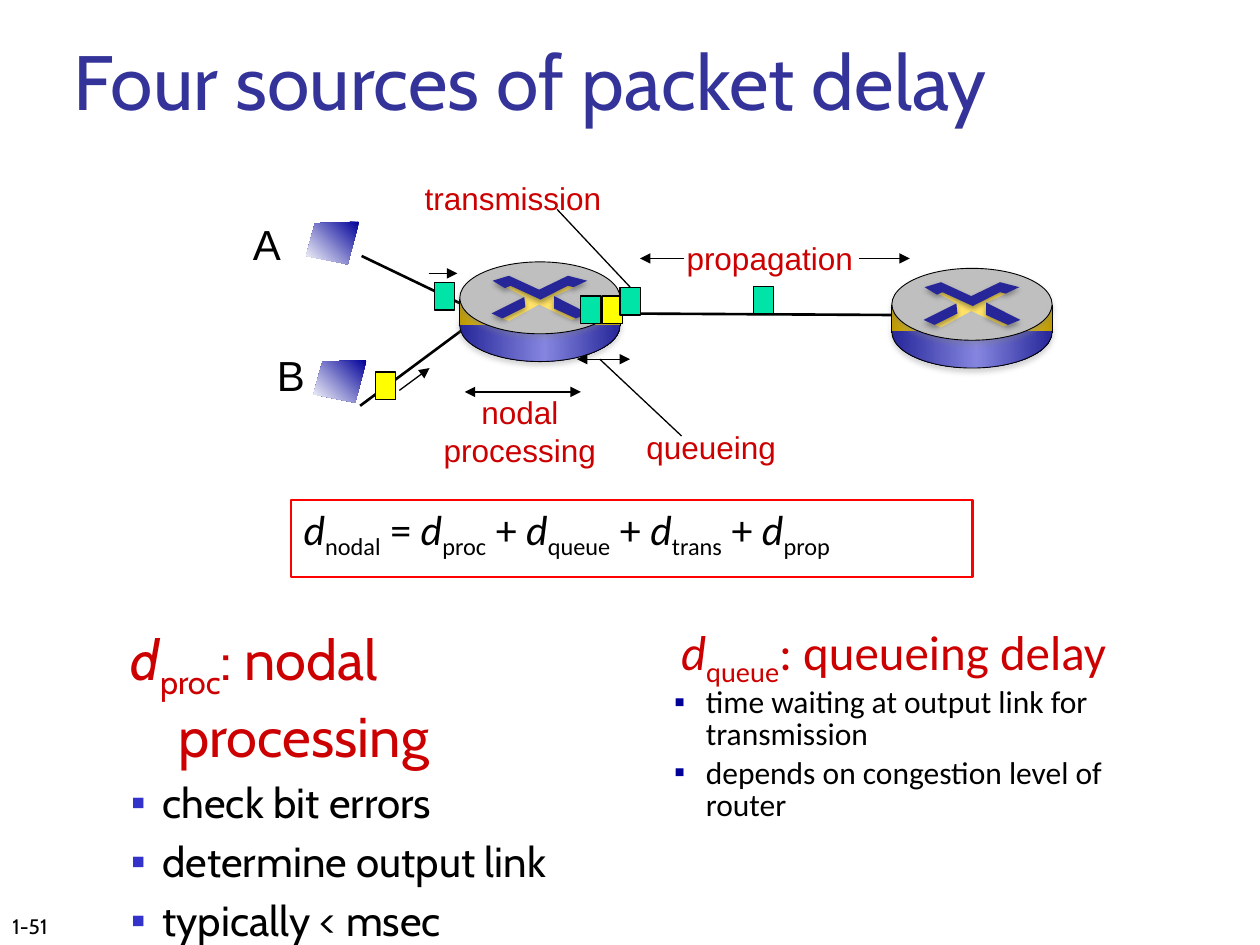
from dataclasses import dataclass

from lxml.etree import SubElement as Sub
from pptx import Presentation
from pptx.dml.color import RGBColor as Rgb
from pptx.enum.shapes import MSO_CONNECTOR as Conn, MSO_SHAPE as Kind
from pptx.enum.text import MSO_ANCHOR as Anchor, MSO_AUTO_SIZE as Fit, PP_ALIGN as Align
from pptx.oxml.ns import qn
from pptx.util import Cm, Pt


@dataclass(frozen=True)
class Theme:
    title: str = "333399"
    red: str = "CC0000"
    frame: str = "FF0000"
    ink: str = "000000"
    green: str = "00E4A8"
    yellow: str = "FFFF00"
    steel: str = "BFBFBF"
    gold: str = "FFE267"
    navy: str = "262699"
    shade: str = "808080"
    dot_left: str = "3333CC"
    dot_right: str = "000099"
    main: str = "Cabin"
    math: str = "Calibri"
    label: str = "Arial"
    huge: int = 44
    head: int = 32
    sub: int = 28
    body: int = 24
    small: int = 18
    foot: int = 12


T = Theme()
BLUE = [(0, T.navy), (53, "8585E0"), (100, T.navy)]
BRASS = [(0, "C09C00"), (53, T.gold), (100, "C09C00")]
SCREEN = [(0, "000099"), (100, "FFFFFF")]


def delay(name):
    return [("d", "i"), (name, "sub")]


TITLE = "Four sources of packet delay"
PAGE = "1-51"
LEFT = (delay("proc") + [(": nodal processing", "")],
        ["check bit errors", "determine output link", "typically < msec"])
RIGHT = (delay("queue") + [(": queueing delay", "")],
         ["time waiting at output link for transmission",
          "depends on congestion level of router"])
SUM = delay("nodal") + [(" = ", "")] + delay("proc")
for part in ("queue", "trans", "prop"):
    SUM += [(" + ", "")] + delay(part)

# Lengths are in centimetres.
LABELS = [
    (["propagation"], (13.59, 4.7, 3.86, 1.02)),
    (["nodal", "processing"], (8.69, 7.8, 3.58, 1.78)),
    (["queueing"], (12.78, 8.51, 3.12, 1.02)),
    (["transmission"], (8.31, 3.48, 4.1, 1.02)),
]
HOSTS = [("A", (4.85, 4.29, 1.12, 1.27), (6.17, 4.47)),
         ("B", (5.33, 6.93, 1.07, 1.27), (6.32, 7.26))]
HOST = [(1.07, 0), (0.18, 0.03), (0, 0.69), (0.84, 0.86)]
ROUTERS = [(9.27, 5.28), (17.98, 5.41)]
LINKS = [(7.29, 5.16, 9.35, 6.15), (12.62, 6.32, 18.01, 6.35),
         (7.26, 8.18, 9.32, 6.65)]
PACKETS = [(15.19, 5.77, T.green), (11.71, 5.97, T.green),
           (12.14, 5.97, T.yellow), (8.76, 5.69, T.green),
           (7.57, 7.5, T.yellow), (12.5, 5.79, T.green)]
ARROWS = [(17.32, 5.21, 18.34, 5.21), (13.79, 5.21, 12.9, 5.21),
          (8.64, 5.51, 9.22, 5.51), (8.05, 7.87, 8.66, 7.42)]
SPANS = [(11.71, 7.9, 9.37, 7.9), (12.7, 7.24, 11.63, 7.24)]
QUEUE = (13.74, 8.79, 12.09, 7.24)
SEND = (11.23, 4.22, 12.7, 5.79)

CROSS = [(1.6, 0.86), (0.99, 1.19), (0.81, 1.12), (1.32, 0.91), (1.3, 0.71),
         (0.94, 0.51), (1.07, 0.48), (1.6, 0.74), (2.16, 0.46), (2.31, 0.51),
         (1.9, 0.69), (1.98, 0.97), (2.39, 1.12), (2.26, 1.17)]
BLADES = [
    [(0.66, 0.38), (0.99, 0.28), (1.6, 0.56), (2.18, 0.28), (2.57, 0.38),
     (2.29, 0.51), (2.18, 0.48), (1.63, 0.76), (1.02, 0.48), (0.91, 0.53)],
    [(1.9, 0.69), (2.59, 1.04), (2.34, 1.14), (1.9, 0.94)],
    [(1.3, 0.71), (1.32, 0.91), (0.86, 1.14), (0.64, 1.04)],
]

deck = Presentation()
deck.slide_width, deck.slide_height = Cm(25.4), Cm(19.05)
shapes = deck.slides.add_slide(deck.slide_layouts[6]).shapes


def shadow(item, color, alpha=35):
    """Add a soft shadow straight below, with alpha in percent."""
    drop = Sub(item._element.spPr.find(qn("a:effectLst")), qn("a:outerShdw"),
               blurRad=str(Pt(3.1)), dist=str(Pt(1.8)), dir="5400000", rotWithShape="0")
    Sub(Sub(drop, qn("a:srgbClr"), val=color), qn("a:alpha"), val=str(alpha * 1000))


def paint(item, fill=None, line=None, width=0.75, angle=0):
    """Fill with a colour or a list of gradient stops; None means no paint."""
    item.shadow.inherit = False
    if isinstance(fill, list):
        item.fill.gradient()
        item.fill.gradient_angle = angle
        stops = item._element.spPr.find(".//" + qn("a:gsLst"))
        for old in list(stops):
            stops.remove(old)
        for pos, color in fill:
            Sub(Sub(stops, qn("a:gs"), pos=str(pos * 1000)), qn("a:srgbClr"), val=color)
    elif fill:
        item.fill.solid()
        item.fill.fore_color.rgb = Rgb.from_string(fill)
    else:
        item.fill.background()
    if line:
        item.line.color.rgb = Rgb.from_string(line)
        item.line.width = Pt(width)
    else:
        item.line.fill.background()
    return item


def form(kind, box, **look):
    return paint(shapes.add_shape(kind, *map(Cm, box)), **look)


def outline(points, x, y, **look):
    spots = [(Cm(x + dx), Cm(y + dy)) for dx, dy in points]
    pen = shapes.build_freeform(*spots[0])
    pen.add_line_segments(spots[1:], close=True)
    return paint(pen.convert_to_shape(), **look)


def wire(ends, width=0.75, tips=()):
    item = shapes.add_connector(Conn.STRAIGHT, *map(Cm, ends))
    item.line.color.rgb = Rgb.from_string(T.ink)
    item.line.width = Pt(width)
    for tip in tips:
        Sub(item.line._get_or_add_ln(), qn("a:" + tip), type="triangle")
    Sub(item._element.spPr, qn("a:effectLst"))
    return item


def frame(box, wrap=True, anchor=Anchor.TOP):
    """Add a text box; one that does not wrap grows with its text."""
    text = shapes.add_textbox(*map(Cm, box)).text_frame
    text.word_wrap, text.vertical_anchor = wrap, anchor
    text.auto_size = Fit.NONE if wrap else Fit.SHAPE_TO_FIT_TEXT
    return text


def write(text, runs, size, font, color=T.ink, align=Align.LEFT,
          space=None, before=0, inset=0, hang=0, dot=None):
    """Add one paragraph; runs is a string or (text, style) pairs."""
    first = text.paragraphs[0]
    para = text.add_paragraph() if first.runs else first
    para.alignment = align
    if space:
        para.line_spacing = space
    if before:
        para.space_before = Pt(before)
    props = para._p.get_or_add_pPr()
    props.set("marL", str(Cm(inset)))
    props.set("indent", str(-Cm(hang)))
    if dot:
        Sub(Sub(props, qn("a:buClr")), qn("a:srgbClr"), val=dot)
        Sub(props, qn("a:buFont"), typeface=T.label)
        Sub(props, qn("a:buChar"), char="▪")
    for words, style in [(runs, "")] if isinstance(runs, str) else runs:
        run = para.add_run()
        run.text = words
        run.font.size, run.font.name = Pt(size), font
        run.font.color.rgb = Rgb.from_string(color)
        run.font.italic = style == "i"
        if style == "sub":
            run.font._element.set("baseline", "-25000")


def column(box, part, head, size, font, dot, inset, space=None):
    text = frame(box)
    write(text, part[0], head, font, T.red, space=space, inset=inset, hang=0.96)
    for point in part[1]:
        write(text, point, size, font, space=space, before=size / 5,
              inset=0.64, hang=0.64, dot=dot)


def router(x, y):
    wide, high, rim, base = 3.23, 1.45, 0.74, 1.3
    edge = dict(line=T.ink, width=0.5)
    shadow(form(Kind.OVAL, (x, y + 0.56, wide, high), fill=BLUE, **edge), T.shade)
    form(Kind.RECTANGLE, (x, y + rim, wide, 0.53), fill=BRASS)
    shadow(form(Kind.OVAL, (x, y, wide, high), fill=T.steel, **edge), T.shade)
    outline(CROSS, x, y, fill=T.gold)
    for blade in BLADES:
        shadow(outline(blade, x, y, fill=T.navy), T.ink)
    for side in (x, x + wide):
        shadow(wire((side, y + base, side, y + rim), 0.5), T.shade, 38)


write(frame((1.24, 0.47, 21.59, 2.26), anchor=Anchor.MIDDLE), TITLE, T.huge, T.main, T.title)
column((2.39, 12.47, 10.59, 4.55), LEFT, T.head, T.body, T.main, T.dot_left, 0.96)
column((13.34, 12.47, 10.59, 6.07), RIGHT, T.sub, T.small, T.math, T.dot_right, 1.1, 0.85)
write(frame((0, 17.78, 5.28, 1.27), anchor=Anchor.BOTTOM), PAGE, T.foot, T.main)

for ends in LINKS:
    wire(ends, 1.5)
for spot in ROUTERS:
    router(*spot)
for x, y, color in PACKETS:
    packet = form(Kind.RECTANGLE, (x, y, 0.41, 0.56), fill=color, line=T.ink)
for ends in ARROWS:
    wire(ends, tips=["tailEnd"])
for ends in SPANS:
    wire(ends, tips=["headEnd", "tailEnd"])
wire(QUEUE)
wire(SEND).end_connect(packet, 0)

for lines, box in LABELS:
    text = frame(box, wrap=False)
    for words in lines:
        write(text, words, T.small, T.label, T.red,
              Align.CENTER if len(lines) > 1 else Align.LEFT)
for name, box, spot in HOSTS:
    write(frame(box, wrap=False), name, T.body, T.label)
    outline(HOST, *spot, fill=SCREEN, angle=225)

total = form(Kind.RECTANGLE, (5.87, 10.08, 13.74, 1.55), line=T.frame, width=1.5).text_frame
total.word_wrap, total.vertical_anchor = True, Anchor.TOP
write(total, SUM, T.body, T.math, space=0.85, inset=0.79, hang=0.79)

deck.save("out.pptx")
